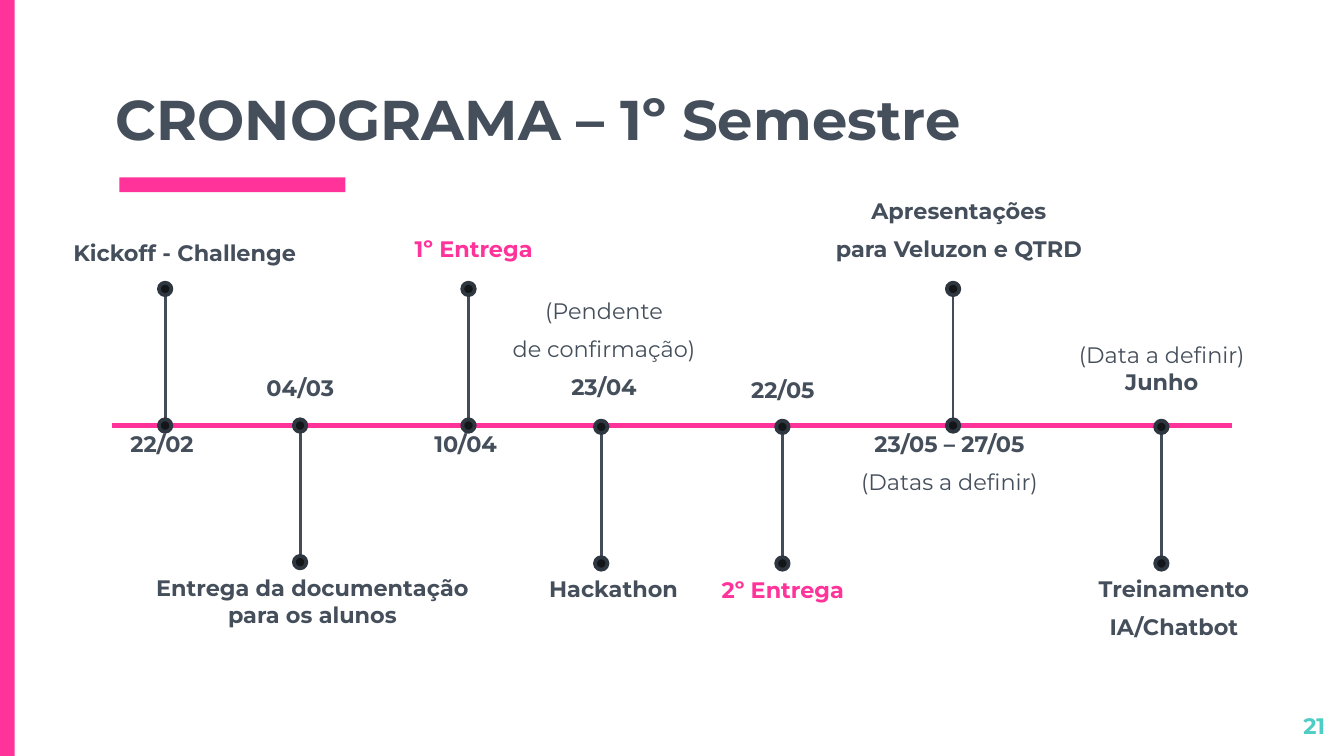
"""Build a one-slide timeline of the first semester."""
from dataclasses import dataclass

from lxml import etree
from pptx import Presentation
from pptx.dml.color import RGBColor
from pptx.enum.shapes import MSO_CONNECTOR, MSO_SHAPE
from pptx.enum.text import MSO_ANCHOR, MSO_AUTO_SIZE, PP_ALIGN
from pptx.oxml.ns import qn
from pptx.shapes.shapetree import GroupShapes, SlideShapes
from pptx.text.text import Font, TextFrame
from pptx.util import Pt

PINK = RGBColor(0xFF, 0x33, 0x99)
SLATE = RGBColor(0x45, 0x4F, 0x5B)
STEEL = RGBColor(0x43, 0x4D, 0x5A)
RING = RGBColor(0x2E, 0x36, 0x3F)
INK = RGBColor(0x12, 0x16, 0x19)
TEAL = RGBColor(0x4E, 0xCD, 0xC4)
RECT = MSO_SHAPE.RECTANGLE
DOT = MSO_SHAPE.FLOWCHART_CONNECTOR
LINE = MSO_CONNECTOR.STRAIGHT
LEFT, MID, RIGHT = PP_ALIGN.LEFT, PP_ALIGN.CENTER, PP_ALIGN.RIGHT
BASE = MSO_ANCHOR.BOTTOM
FIXED = MSO_AUTO_SIZE.NONE
Shapes = SlideShapes | GroupShapes

AXIS = 228
STEM = 73.2
SIZE = 6.7
WIDE, HIGH = 198, 39.6
INSET = 7.2


@dataclass
class Row:
    text: str
    bold: bool = True
    color: RGBColor = SLATE
    gap: float = 6


@dataclass
class Label:
    mid: float
    top: float
    rows: list[Row]


@dataclass
class Event:
    x: float
    rise: float
    date: Label
    note: Label
    drop: float = 0


EVENTS = [
    Event(88.5, -STEM, Label(86.8, 223.2, [Row("22/02")]),
          Label(99, 121, [Row("Kickoff - Challenge")])),
    Event(160.8, STEM, Label(160.9, 193.5, [Row("04/03")]),
          Label(167.4, 300.3, [Row("Entrega da documentação para os alunos")])),
    Event(251, -STEM, Label(249.5, 223.2, [Row("10/04")]),
          Label(253.8, 118.8, [Row("1º Entrega", color=PINK)])),
    Event(322.1, STEM, Label(323.6, 151.9, [
        Row("(Pendente", False), Row("de confirmação)", False), Row("23/04")]),
          Label(328.7, 301, [Row("Hackathon")]), 0.7),
    Event(419.2, STEM, Label(419.4, 194.4, [Row("22/05")]),
          Label(419.4, 301.7, [Row("2º Entrega", color=PINK)]), 0.7),
    Event(510.6, -STEM, Label(508.7, 223.2, [
        Row("23/05 – 27/05"), Row("(Datas a definir)", False)]),
          Label(513.7, 98.6, [Row("Apresentações"), Row("para Veluzon e QTRD")])),
    Event(622.2, STEM, Label(622.4, 175.7, [
        Row("(Data a definir)", False), Row("Junho", gap=0)]),
          Label(628.9, 301, [Row("Treinamento"), Row("IA/Chatbot")]), 0.7),
]


def style(font: Font, size: float, color: RGBColor, bold: bool = True) -> None:
    for name, value in {"name": "Montserrat", "size": Pt(size), "bold": bold}.items():
        setattr(font, name, value)
    font.color.rgb = color


def frame(text: TextFrame) -> None:
    looks = {"word_wrap": True, "auto_size": FIXED}
    looks |= {f"margin_{side}": Pt(INSET) for side in ("left", "top", "right", "bottom")}
    for name, value in looks.items():
        setattr(text, name, value)


def write(shapes: Shapes, box: tuple[float, ...], rows: list[Row], align: PP_ALIGN) -> None:
    text = shapes.add_textbox(*map(Pt, box)).text_frame
    frame(text)
    for i, row in enumerate(rows):
        para = text.add_paragraph() if i else text.paragraphs[0]
        para.alignment, para.space_before = align, Pt(row.gap)
        run = para.add_run()
        run.text = row.text
        style(run.font, 12, row.color, row.bold)


def block(shapes: Shapes, kind: MSO_SHAPE, box: tuple[float, ...], fill: RGBColor,
          edge: RGBColor | None = None) -> None:
    shape = shapes.add_shape(kind, *map(Pt, box))
    shape.shadow.inherit = False
    shape.fill.solid()
    shape.fill.fore_color.rgb = fill
    if edge is None:
        shape.line.fill.background()
    else:
        shape.line.color.rgb, shape.line.width = edge, Pt(2)


def wire(shapes: Shapes, ends: tuple[float, ...], color: RGBColor, width: float) -> None:
    line = shapes.add_connector(LINE, *map(Pt, ends))
    line.line.color.rgb, line.line.width = color, Pt(width)
    etree.SubElement(line.element.spPr, qn("a:effectLst"))


def draw(shapes: SlideShapes, event: Event) -> None:
    base = AXIS + event.drop
    tip = base + event.rise
    group = shapes.add_group_shape().shapes
    wire(group, (event.x, base, event.x, tip), STEEL, 1.5)
    for y in (base, tip):
        block(group, DOT, (event.x - SIZE / 2, y - SIZE / 2, SIZE, SIZE), INK, RING)
    for label in (event.date, event.note):
        write(shapes, (label.mid - WIDE / 2, label.top, WIDE, HIGH), label.rows, MID)


def head(shapes: SlideShapes, text: str) -> None:
    title = shapes.title
    box = {"left": 54.7, "top": 12.2, "width": 611.3, "height": 76.3}
    for name, value in box.items():
        setattr(title, name, Pt(value))
    frame(title.text_frame)
    title.text_frame.vertical_anchor = BASE
    para = title.text_frame.paragraphs[0]
    para.alignment = LEFT
    run = para.add_run()
    run.text = text
    style(run.font, 30, SLATE)


def main() -> None:
    deck = Presentation()
    deck.slide_width, deck.slide_height = Pt(720), Pt(405)
    shapes = deck.slides.add_slide(deck.slide_layouts[5]).shapes
    block(shapes, RECT, (64, 95, 121, 8), PINK)
    block(shapes, RECT, (0, 0, 7.9, 405), PINK)
    head(shapes, "CRONOGRAMA – 1º Semestre")
    write(shapes, (673.9, 374.4, 43.2, 24.5), [Row("21", color=TEAL, gap=0)], RIGHT)
    wire(shapes, (60, AXIS, 660, AXIS), PINK, 3)
    for event in EVENTS:
        draw(shapes, event)
    deck.save("out.pptx")


if __name__ == "__main__":
    main()
